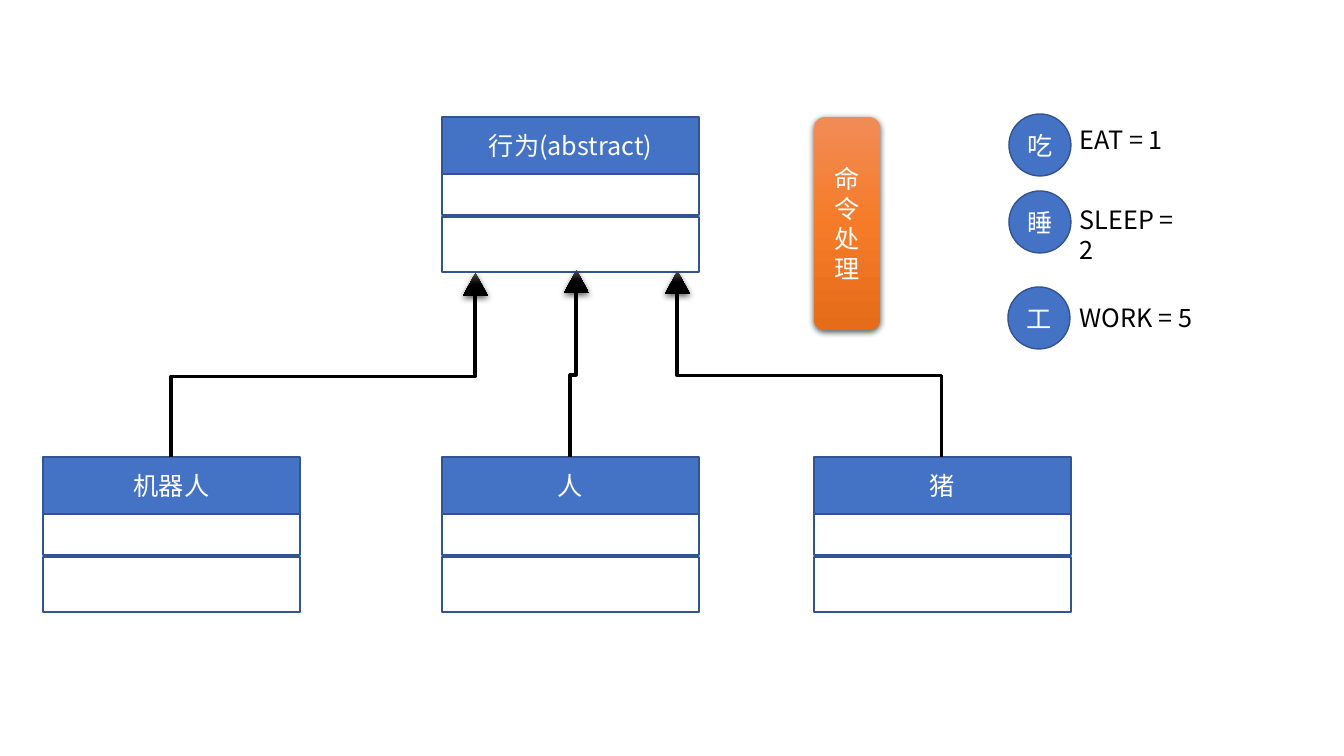
from lxml.etree import SubElement
from pptx import Presentation
from pptx.dml.color import RGBColor
from pptx.enum.shapes import MSO_CONNECTOR as CONNECTOR, MSO_SHAPE as SHAPE
from pptx.enum.text import MSO_ANCHOR as ANCHOR, MSO_AUTO_SIZE as AUTO_SIZE, PP_ALIGN as ALIGN
from pptx.oxml.ns import qn
from pptx.util import Pt

PX = 914400 / 100.8
FONT = "Noto Sans CJK SC"
BLUE, BORDER, WHITE, BLACK = "4472C4", "325491", "FFFFFF", "000000"


def add_box(kind, left, top, width, height, fill, text=""):
    """Add a shape; fill is one colour, or three for a shadowed vertical gradient."""
    shape = slide.shapes.add_shape(kind, *(round(v * PX) for v in (left, top, width, height)))
    shape.shadow.inherit = False
    properties = shape._element.spPr
    if isinstance(fill, str):
        shape.fill.solid()
        shape.fill.fore_color.rgb = RGBColor.from_string(fill)
        shape.line.color.rgb = RGBColor.from_string(BORDER)
        shape.line.width = Pt(1)
    else:
        shape.line.fill.background()
        shape.fill.gradient()
        shape.fill.gradient_angle = 270
        stops = properties.find(".//" + qn("a:gsLst"))
        for stop in list(stops):
            stops.remove(stop)
        for position, color in zip((0, 50000, 100000), fill):
            stop = SubElement(stops, qn("a:gs"), pos=str(position))
            SubElement(stop, qn("a:srgbClr"), val=color)
        shadow = SubElement(properties.find(qn("a:effectLst")), qn("a:outerShdw"),
                            blurRad=str(Pt(4.5)), dist=str(Pt(1.5)), dir="5400000",
                            algn="ctr", rotWithShape="0")
        shadow_color = SubElement(shadow, qn("a:srgbClr"), val=BLACK)
        SubElement(shadow_color, qn("a:alpha"), val="63000")
    if text:
        shape.text_frame.vertical_anchor = ANCHOR.MIDDLE
        shape.text_frame.paragraphs[0].alignment = ALIGN.CENTER
        add_run(shape.text_frame, text, WHITE)
    return shape


def add_run(frame, text, color):
    run = frame.paragraphs[0].add_run()
    run.text = text
    run.font.size = Pt(18)
    run.font.color.rgb = RGBColor.from_string(color)
    run.font.name = FONT
    SubElement(run.font._element, qn("a:ea"), typeface=FONT)


presentation = Presentation()
presentation.slide_width = round(1344 * PX)
presentation.slide_height = round(756 * PX)
slide = presentation.slides.add_slide(presentation.slide_layouts[6])

# Class boxes: name, attributes, methods
CLASS_WIDTH, CHILD_TOP = 257, 457
for name, left, top in [("机器人", 43, CHILD_TOP), ("人", 442, CHILD_TOP),
                        ("猪", 814, CHILD_TOP), ("行为(abstract)", 442, 117)]:
    add_box(SHAPE.RECTANGLE, left, top, CLASS_WIDTH, 57, BLUE, name)
    add_box(SHAPE.RECTANGLE, left, top + 57, CLASS_WIDTH, 41, WHITE)
    add_box(SHAPE.RECTANGLE, left, top + 100, CLASS_WIDTH, 55, WHITE)

# Inheritance arrows: an elbow turned a quarter so that it leaves vertically
for start_x, start_y, end_x in [(475, 296, 171), (576, 293, 570), (677, 294, 942)]:
    connector = slide.shapes.add_connector(CONNECTOR.ELBOW, 0, 0, 0, 0)
    length, spread = CHILD_TOP - start_y, abs(end_x - start_x)
    connector.left = round(((start_x + end_x) / 2 - length / 2) * PX)
    connector.top = round(((start_y + CHILD_TOP) / 2 - spread / 2) * PX)
    connector.width, connector.height = round(length * PX), round(spread * PX)
    transform = connector._element.spPr.find(qn("a:xfrm"))
    if end_x < start_x:
        transform.set("rot", "5400000")
    else:
        transform.set("rot", "16200000")
        transform.set("flipH", "1")
    connector.line.color.rgb = RGBColor.from_string(BLACK)
    connector.line.width = Pt(2.25)
    SubElement(connector._element.spPr, qn("a:effectLst"))
    add_box(SHAPE.ISOSCELES_TRIANGLE, start_x - 12, start_y - 23, 25, 23,
            ("4B4B4B", BLACK, BLACK))

# Commands and their codes
add_box(SHAPE.ROUNDED_RECTANGLE, 814, 117, 66, 213, ("F18C57", "F67B28", "E56C19"), "命令处理")
for symbol, left, top, code, code_top, code_width in [
        ("吃", 1009, 114, "EAT = 1", 119, 107),
        ("睡", 1009, 191, "SLEEP = 2", 199, 129),
        ("工", 1008, 287, "WORK = 5", 297, 136)]:
    add_box(SHAPE.OVAL, left, top, 62, 62, BLUE, symbol)
    label = slide.shapes.add_textbox(*(round(v * PX) for v in (1070, code_top, code_width, 40)))
    label.text_frame.word_wrap = True
    label.text_frame.auto_size = AUTO_SIZE.SHAPE_TO_FIT_TEXT
    add_run(label.text_frame, code, BLACK)

presentation.save("out.pptx")
